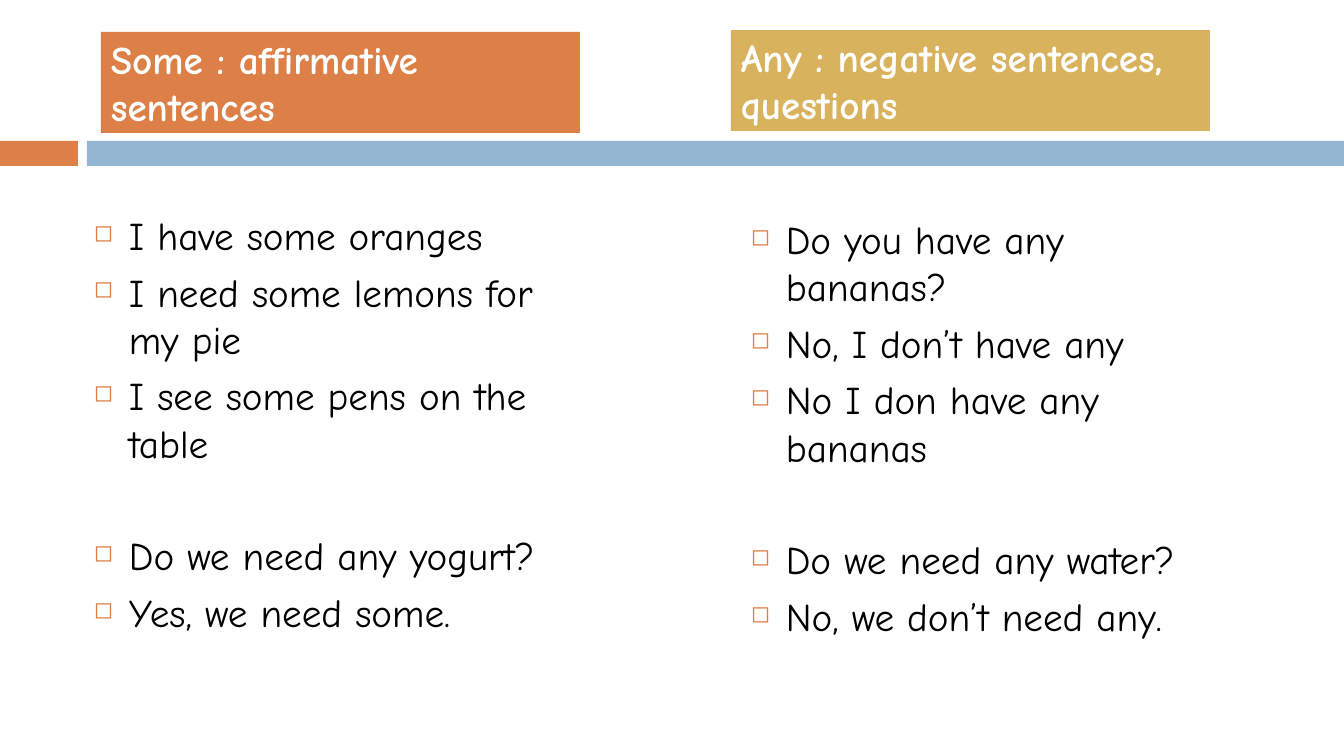
"""Build a grammar slide comparing the uses of some and any."""
from lxml.etree import SubElement
from pptx import Presentation
from pptx.dml.color import RGBColor
from pptx.enum.shapes import MSO_SHAPE as Shape
from pptx.enum.text import MSO_ANCHOR as Anchor, PP_ALIGN as Align
from pptx.oxml.ns import qn
from pptx.util import Pt

PX = 914400 / 100.8
ORANGE = RGBColor(0xDD, 0x80, 0x47)
BLUE = RGBColor(0x94, 0xB6, 0xD2)
GOLD = RGBColor(0xD8, 0xB2, 0x5C)
BLACK = RGBColor(0, 0, 0)
WHITE = RGBColor(255, 255, 255)
INDENT = round(35 * PX)
SENTENCE_GAP, DIALOGUE_GAP = Pt(7), Pt(47)


def add_block(box, color):
    block = slide.shapes.add_shape(Shape.RECTANGLE, *(round(n * PX) for n in box))
    block.shadow.inherit = False
    block.fill.solid()
    block.fill.fore_color.rgb = color
    block.line.fill.background()
    return block


def write(paragraph, text, color, gap, bold=False):
    paragraph.alignment = Align.LEFT
    paragraph.space_before = gap
    run = paragraph.add_run()
    run.text = text
    run.font.color.rgb = color
    for key, value in {"name": "Comic Neue", "size": Pt(28), "bold": bold}.items():
        setattr(run.font, key, value)


deck = Presentation()
deck.slide_width, deck.slide_height = round(1344 * PX), round(756 * PX)
slide = deck.slides.add_slide(deck.slide_layouts[6])

add_block((0, 141, 78, 25), ORANGE)
add_block((87, 141, 1257, 25), BLUE)

columns = [
    ("Some : affirmative sentences", (101, 32, 479, 101), ORANGE, (84, 206, 496, 487),
     ["I have some oranges", "I need some lemons for my pie", "I see some pens on the table"],
     ["Do we need any yogurt?", "Yes, we need some."]),
    ("Any : negative sentences, questions", (731, 30, 479, 101), GOLD, (741, 210, 471, 479),
     ["Do you have any bananas?", "No, I don’t have any", "No I don have any bananas"],
     ["Do we need any water?", "No, we don’t need any."]),
]

for rule, rule_box, rule_color, example_box, statements, dialogue in columns:
    heading = add_block(rule_box, rule_color).text_frame
    heading.word_wrap = True
    heading.vertical_anchor = Anchor.MIDDLE
    write(heading.paragraphs[0], rule, WHITE, SENTENCE_GAP, bold=True)

    examples = slide.shapes.add_textbox(*(round(n * PX) for n in example_box)).text_frame
    examples.word_wrap = True
    for i, sentence in enumerate(statements + dialogue):
        line = examples.add_paragraph() if i else examples.paragraphs[0]
        gap = DIALOGUE_GAP if i == len(statements) else SENTENCE_GAP
        write(line, sentence, BLACK, gap)
        layout = line._p.get_or_add_pPr()
        layout.set("marL", str(INDENT))
        layout.set("indent", str(-INDENT))
        SubElement(SubElement(layout, qn("a:buClr")), qn("a:srgbClr"), val=str(ORANGE))
        SubElement(layout, qn("a:buSzPct"), val="60000")
        SubElement(layout, qn("a:buChar"), char="◻")

deck.save("out.pptx")
